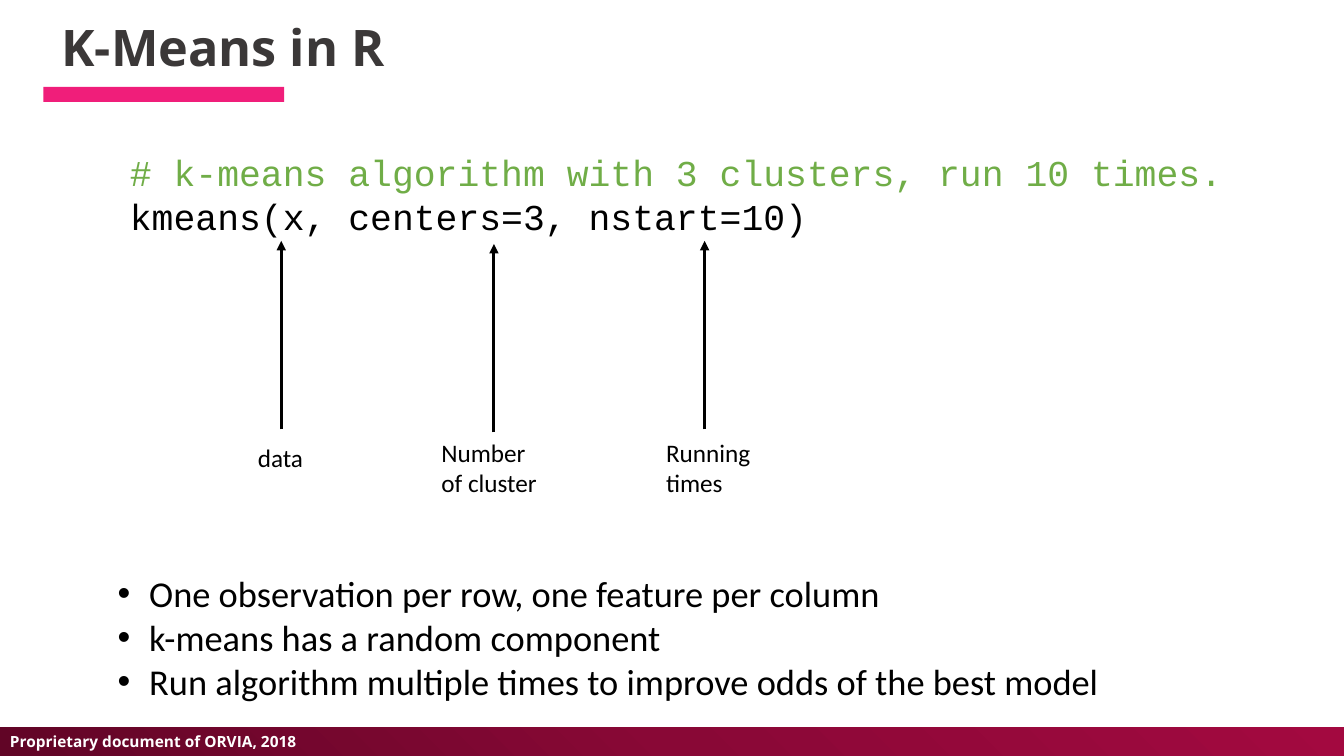
"""Build the K-Means in R slide."""
from lxml import etree
from pptx import Presentation
from pptx import util as u
from pptx.dml.color import RGBColor
from pptx.enum import shapes, text
from pptx.oxml import ns

BLACK = RGBColor(0x00, 0x00, 0x00)
WHITE = RGBColor(0xFF, 0xFF, 0xFF)
CHARCOAL = RGBColor(0x3B, 0x38, 0x38)
PINK = RGBColor(0xF0, 0x1E, 0x7A)
GREEN = RGBColor(0x70, 0xAD, 0x47)
WINE_STOPS = [
    (0, RGBColor(0x61, 0x05, 0x26)),
    (50, RGBColor(0x89, 0x08, 0x36)),
    (100, RGBColor(0xA3, 0x09, 0x40)),
]


def write(paragraph, words, font="Calibri", size=18, color=BLACK, bold=False):
    """Add formatted words to a paragraph."""
    run = paragraph.add_run()
    run.text = words
    run.font.name = font
    run.font.size = u.Pt(size)
    run.font.color.rgb = color
    run.font.bold = bold


class SlideBuilder:
    """Hold the slide and its style, and add each kind of element."""

    heading_font = "Open Sans"
    code_font = "Courier New"

    def __init__(self, presentation):
        """Start a title-only slide."""
        self.slide = presentation.slides.add_slide(presentation.slide_layouts[5])

    def title(self, words, left, top, width, height):
        """Place and format the title."""
        shape = self.slide.shapes.title
        shape.left, shape.top = u.Pt(left), u.Pt(top)
        shape.width, shape.height = u.Pt(width), u.Pt(height)
        frame = shape.text_frame
        frame.vertical_anchor = text.MSO_ANCHOR.BOTTOM
        frame.auto_size = text.MSO_AUTO_SIZE.NONE
        paragraph = frame.paragraphs[0]
        paragraph.alignment = text.PP_ALIGN.LEFT
        paragraph.line_spacing = 0.9
        write(paragraph, words, self.heading_font, 36, CHARCOAL, True)

    def bar(self, left, top, width, height, color=PINK):
        """Add a plain filled rectangle."""
        shape = self.slide.shapes.add_shape(
            shapes.MSO_SHAPE.RECTANGLE, u.Pt(left), u.Pt(top), u.Pt(width), u.Pt(height))
        shape.shadow.inherit = False
        shape.fill.solid()
        shape.fill.fore_color.rgb = color
        shape.line.fill.background()
        return shape

    def footer(self, words, left, top, width, height):
        """Add the gradient footer band."""
        shape = self.bar(left, top, width, height)
        shape.fill.gradient()
        shape.fill.gradient_angle = 45
        stops = shape.fill._fill._gradFill.find(ns.qn("a:gsLst"))
        for stop in list(stops):
            stops.remove(stop)
        for position, color in WINE_STOPS:
            stop = etree.SubElement(stops, ns.qn("a:gs"), pos=str(position * 1000))
            etree.SubElement(stop, ns.qn("a:srgbClr"), val=str(color))
        frame = shape.text_frame
        frame.vertical_anchor = text.MSO_ANCHOR.MIDDLE
        frame.paragraphs[0].alignment = text.PP_ALIGN.LEFT
        write(frame.paragraphs[0], words, self.heading_font, 11, WHITE, True)

    def text_box(self, lines, left, top, width, height, bullet=None, **style):
        """Add a text box from (words, color) lines."""
        shape = self.slide.shapes.add_textbox(
            u.Pt(left), u.Pt(top), u.Pt(width), u.Pt(height))
        frame = shape.text_frame
        frame.word_wrap = True
        for index, (words, color) in enumerate(lines):
            paragraph = frame.add_paragraph() if index else frame.paragraphs[0]
            write(paragraph, words, color=color, **style)
            if bullet:
                properties = paragraph._p.get_or_add_pPr()
                indent = u.Pt(22.5)
                properties.set("marL", str(indent))
                properties.set("indent", str(-indent))
                etree.SubElement(properties, ns.qn("a:buFont"), typeface="Arial")
                etree.SubElement(properties, ns.qn("a:buChar"), char=bullet)

    def up_arrow(self, x, bottom, length=134.6):
        """Add an upward arrow."""
        connector = self.slide.shapes.add_connector(
            shapes.MSO_CONNECTOR.STRAIGHT,
            u.Pt(x), u.Pt(bottom), u.Pt(x), u.Pt(bottom - length))
        connector.line.color.rgb = BLACK
        connector.line.width = u.Pt(2.25)
        etree.SubElement(connector.line._get_or_add_ln(), ns.qn("a:tailEnd"), type="triangle")
        etree.SubElement(connector._element.spPr, ns.qn("a:effectLst"))


def main():
    """Build and save the slide."""
    presentation = Presentation()
    presentation.slide_width, presentation.slide_height = u.Pt(960), u.Pt(540)
    builder = SlideBuilder(presentation)
    builder.footer("Proprietary document of ORVIA, 2018", 0, 519.6, 960, 20.4)
    builder.bar(31, 62, 172, 10.8)
    builder.title("K-Means in R", 36.7, 8.6, 600, 50.4)

    code = [("# k-means algorithm with 3 clusters, run 10 times.", GREEN),
            ("kmeans(x, centers=3, nstart=10)", BLACK)]
    builder.text_box(code, 85.7, 103.7, 834.5, 70.6, font=builder.code_font, size=26)

    arguments = [
        ("data", 200.9, 306.7, 177.1, 312.5, 30.2),
        ("Number of cluster", 352.8, 308.9, 308.2, 308.9, 51.1),
        ("Running times", 503.3, 306.7, 468.7, 308.9, 51.1),
    ]
    for words, arrow_x, arrow_bottom, left, top, height in arguments:
        builder.up_arrow(arrow_x, arrow_bottom)
        builder.text_box([(words, BLACK)], left, top, 88.6, height)

    notes = ["One observation per row, one feature per column",
             "k-means has a random component",
             "Run algorithm multiple times to improve odds of the best model"]
    builder.text_box([(note, BLACK) for note in notes],
                     77, 404.6, 805.7, 101.5, bullet="•", size=26)
    presentation.save("out.pptx")


if __name__ == "__main__":
    main()
